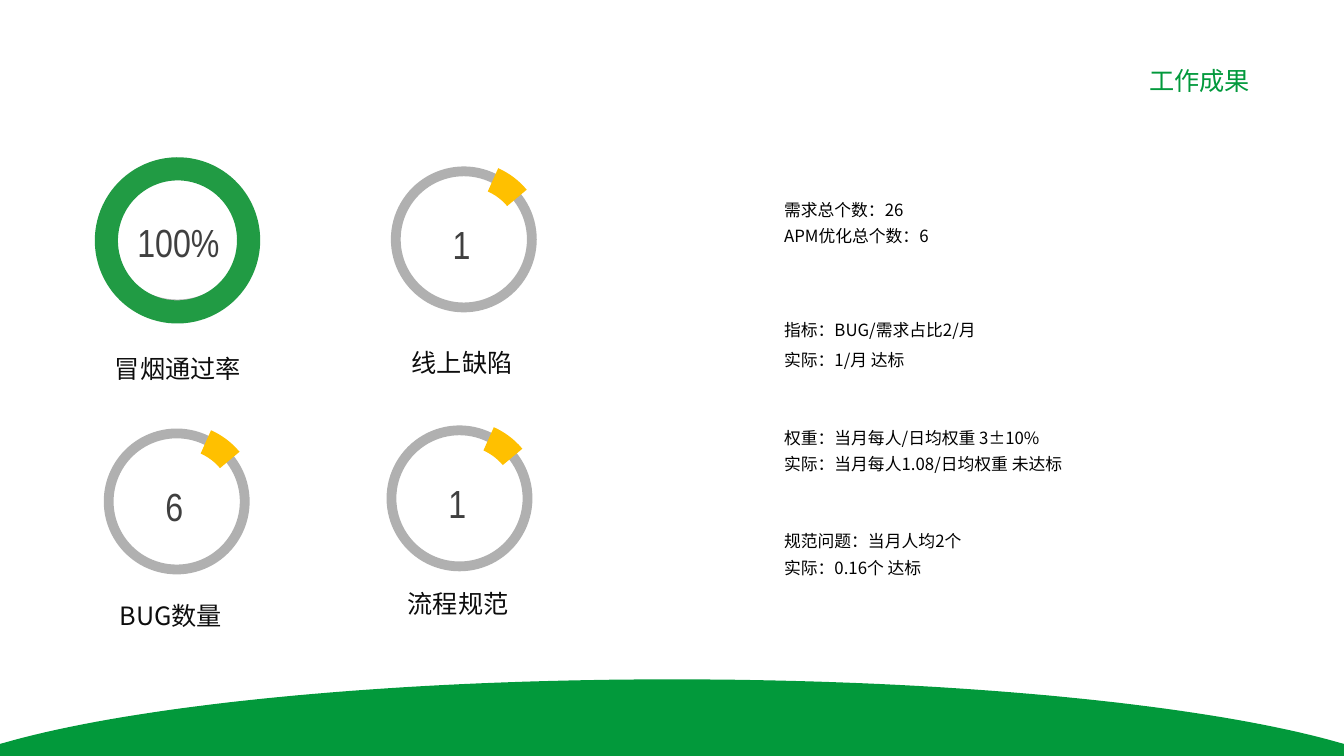
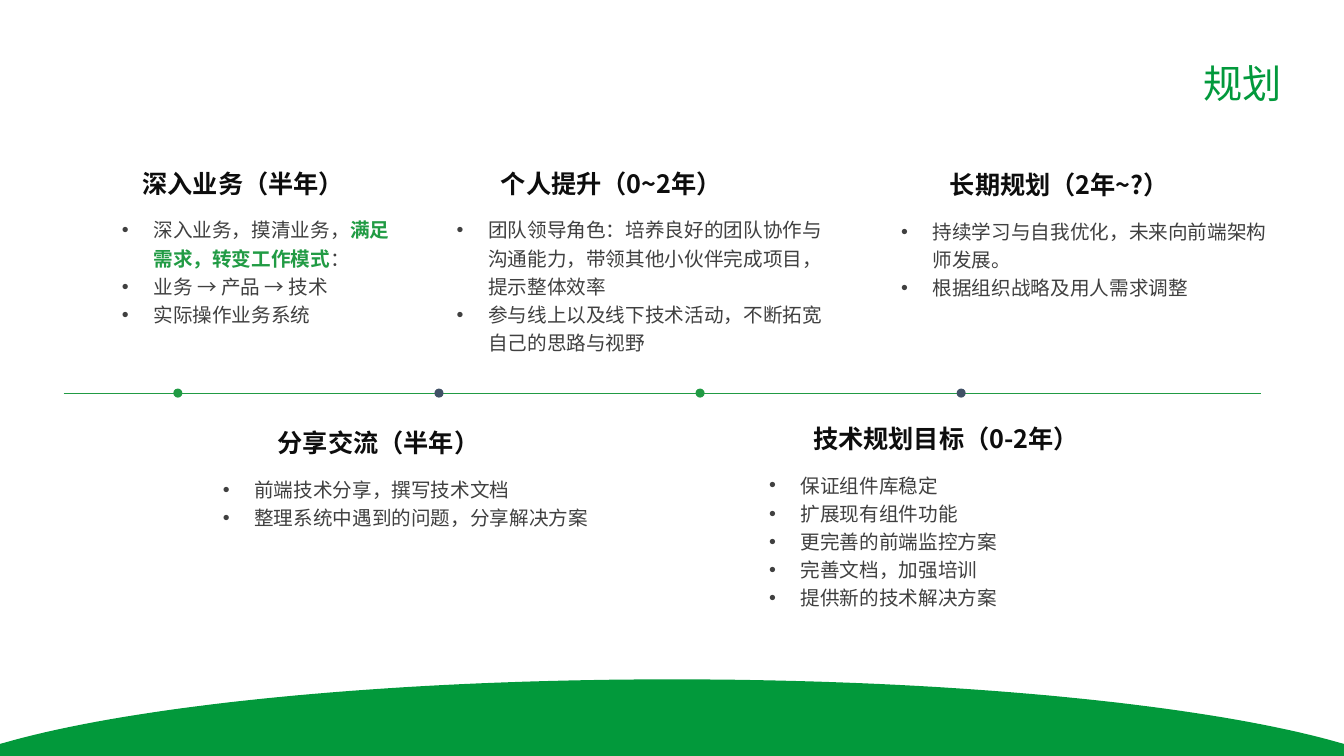
import copy
import dataclasses

import lxml.etree
import pptx
import pptx.dml.color
import pptx.enum.lang
import pptx.enum.shapes
import pptx.enum.text
import pptx.oxml.ns
import pptx.shapes.autoshape
import pptx.slide
import pptx.text.text
import pptx.util

Pt = pptx.util.Pt
Align = pptx.enum.text.PP_ALIGN
Kind = pptx.enum.shapes.MSO_SHAPE

COLORS = {
    "band": "02993B", "title": "02993C", "green": "219B44", "slate": "415166",
    "gold": "FFC000", "ring": "B0B0B0", "head": "0D0D0D", "text": "404040",
    "note": "000000",
}
WIDE, HIGH = 960, 540
SANS, SLIM = "Noto Sans CJK SC", "Arial Narrow"


@dataclasses.dataclass(frozen=True)
class Style:
    size: float
    color: str
    font: str = SANS
    bold: bool = False


@dataclasses.dataclass(frozen=True)
class Box:
    left: float
    top: float
    width: float
    height: float

    def spans(self) -> list[pptx.util.Length]:
        return [Pt(v) for v in dataclasses.astuple(self)]


@dataclasses.dataclass(frozen=True)
class Arc:
    box: Box
    turn: float
    color: str
    bends: tuple[float, float, float]


@dataclasses.dataclass(frozen=True)
class Gauge:
    value: str
    text: Box
    ring: Box
    arc: Arc
    label: str
    left: float
    top: float


@dataclasses.dataclass(frozen=True)
class Note:
    top: float
    width: float
    paras: tuple[tuple[float, tuple[str, ...]], ...]


@dataclasses.dataclass(frozen=True)
class Plan:
    head: str
    left: float
    width: float
    list_box: Box
    items: tuple[str, ...]


HEAD = Style(18, "head", bold=True)
LABEL = Style(18, "head")
VALUE = Style(28, "text", SLIM)
ITEM = Style(14, "text")
STRONG = Style(14, "green", bold=True)
NOTE = Style(12, "note")


def small(value: str, x: float, y: float, label: str, left: float, top: float) -> Gauge:
    """A thin ring at x, y with a short gold arc."""
    arc = Arc(Box(x - 7, y - 7.2, 113.8, 113.8), 72.1, "gold", (133.19, 148.73, 0.16))
    return Gauge(value, Box(x - 3.4, y + 31.2, 100.8, 41),
                 Box(x, y, 97.2, 97.2), arc, label, left, top)


GAUGES = (
    Gauge("100%", Box(89.3, 152.6, 76.3, 41), Box(76.3, 121.7, 100.8, 95.8),
          Arc(Box(67.7, 112.3, 118.1, 118.8), 194, "green", (101.53, 101.52, 0.14)),
          "冒烟通过率", 52.6, 249.1),
    small("1", 282.7, 122.4, "线上缺陷", 255.6, 244.8),
    small("6", 77.6, 309.6, "BUG数量", 47.5, 425.5),
    small("1", 279.6, 307.4, "流程规范", 252.7, 416.9),
)
NOTES = (
    Note(134.6, 165.6, ((1.3, ("需求总个数：26", "APM优化总个数：6")),)),
    Note(224.6, 165.6, ((1, ("指标：BUG/需求占比2/月",)), (1.5, ("实际：1/月 达标",)))),
    Note(297.4, 237.6,
         ((1.3, ("权重：当月每人/日均权重 3±10%", "实际：当月每人1.08/日均权重 未达标")),)),
    Note(371.5, 237.6, ((1.3, ("规范问题：当月人均2个", "实际：0.16个 达标")),)),
)
# Asterisks enclose the stressed words of an item.
PLANS = (
    Plan("深入业务（半年）", 73.4, 200.9, Box(79.9, 149, 211.7, 88.6),
         ("深入业务，摸清业务，*满足需求，转变工作模式*：",
          "业务 → 产品 → 技术", "实际操作业务系统")),
    Plan("个人提升（0~2年）", 331.2, 211, Box(319, 149, 278.6, 129.6),
         ("团队领导角色：培养良好的团队协作与沟通能力，带领其他小伙伴完成项目，提示整体效率",
          "参与线上以及线下技术活动，不断拓宽自己的思路与视野")),
    Plan("长期规划（2年~?）", 648.7, 216, Box(636.5, 149.8, 278.6, 88.6),
         ("持续学习与自我优化，未来向前端架构师发展。", "根据组织战略及用人需求调整")),
    Plan("分享交流（半年）", 164.9, 211, Box(151.9, 334.1, 278.6, 108.7),
         ("前端技术分享，撰写技术文档", "整理系统中遇到的问题，分享解决方案")),
    Plan("技术规划目标（0-2年）", 565.9, 219.6, Box(542.2, 331.2, 250.6, 129.6),
         ("保证组件库稳定", "扩展现有组件功能", "更完善的前端监控方案",
          "完善文档，加强培训", "提供新的技术解决方案")),
)


def shade(name: str) -> pptx.dml.color.RGBColor:
    return pptx.dml.color.RGBColor.from_string(COLORS[name])


def add_run(para: pptx.text.text._Paragraph, text: str, style: Style) -> None:
    run = para.add_run()
    run.text = text
    font = run.font
    font.size, font.bold, font.name = Pt(style.size), style.bold, style.font
    font.color.rgb = shade(style.color)
    font.language_id = pptx.enum.lang.MSO_LANGUAGE_ID.SIMPLIFIED_CHINESE
    latin = run._r.rPr.find(pptx.oxml.ns.qn("a:latin"))
    east = lxml.etree.Element(pptx.oxml.ns.qn("a:ea"), typeface=style.font)
    latin.addnext(east)


def set_frame(frame: pptx.text.text.TextFrame) -> None:
    frame.word_wrap = True
    frame.auto_size = pptx.enum.text.MSO_AUTO_SIZE.NONE
    frame.vertical_anchor = pptx.enum.text.MSO_ANCHOR.TOP


def next_para(frame: pptx.text.text.TextFrame, index: int) -> pptx.text.text._Paragraph:
    """The first paragraph of the frame, or a new one."""
    return frame.add_paragraph() if index else frame.paragraphs[0]


def add_line(shapes, box: Box, text: str, style: Style) -> None:
    """One centred line of text."""
    frame = shapes.add_textbox(*box.spans()).text_frame
    set_frame(frame)
    frame.paragraphs[0].alignment = Align.CENTER
    add_run(frame.paragraphs[0], text, style)


def paint(shape: pptx.shapes.autoshape.Shape, color: str) -> None:
    shape.shadow.inherit = False
    shape.fill.solid()
    shape.fill.fore_color.rgb = shade(color)
    shape.line.fill.background()


def place(shape, box: Box) -> None:
    shape.left, shape.top, shape.width, shape.height = box.spans()


def add_band(slide: pptx.slide.Slide) -> None:
    """The curved green foot of a slide."""
    knots = ((480, 485.3), (686, 485.3), (864.7, 504), (957, 530.6))
    steps = 40
    right = []
    for step in range(steps + 1):
        t = step / steps
        parts = ((1 - t) ** 3, 3 * t * (1 - t) ** 2, 3 * t * t * (1 - t), t ** 3)
        right.append(tuple(sum(p * k[axis] for p, k in zip(parts, knots))
                           for axis in (0, 1)))
    right += [(WIDE, 531.4), (WIDE, HIGH)]
    left = [(WIDE - x, y) for x, y in reversed(right)]
    edge = [(Pt(x), Pt(y)) for x, y in right + left]
    path = slide.shapes.build_freeform(*edge[0])
    path.add_line_segments(edge[1:], close=True)
    paint(path.convert_to_shape(), "band")


def add_slide(deck, layout, title: str, size: float, right: float, top: float):
    slide = deck.slides.add_slide(layout)
    add_band(slide)
    head = slide.shapes.title
    place(head, Box(right - 227.5, top, 227.5, size * 1.6))
    set_frame(head.text_frame)
    para = head.text_frame.paragraphs[0]
    para.alignment = Align.RIGHT
    add_run(para, title, Style(size, "title"))
    return slide


def add_gauge(slide: pptx.slide.Slide, gauge: Gauge) -> None:
    shapes = slide.shapes.add_group_shape().shapes
    add_line(shapes, gauge.text, gauge.value, VALUE)
    ring = shapes.add_shape(Kind.OVAL, *gauge.ring.spans())
    ring.shadow.inherit = False
    ring.fill.background()
    ring.line.color.rgb = shade("ring")
    ring.line.width = Pt(7)
    arc = shapes.add_shape(Kind.BLOCK_ARC, *gauge.arc.box.spans())
    for index, bend in enumerate(gauge.arc.bends):
        arc.adjustments[index] = bend
    arc.rotation = gauge.arc.turn
    paint(arc, gauge.arc.color)
    add_line(slide.shapes, Box(gauge.left, gauge.top, 149, 29), gauge.label, LABEL)


def add_note(slide: pptx.slide.Slide, note: Note) -> None:
    box = Box(553, note.top, note.width, 44.6)
    frame = slide.shapes.add_textbox(*box.spans()).text_frame
    set_frame(frame)
    for index, (pitch, lines) in enumerate(note.paras):
        para = next_para(frame, index)
        para.line_spacing = float(pitch)
        for row, line in enumerate(lines):
            if row:
                para.add_line_break()
            add_run(para, line, NOTE)


def add_plan(slide: pptx.slide.Slide, body, plan: Plan) -> None:
    place(body, plan.list_box)
    set_frame(body.text_frame)
    for index, item in enumerate(plan.items):
        para = next_para(body.text_frame, index)
        para.line_spacing, para.space_before = 1.2, Pt(0)
        props = para._p.get_or_add_pPr()
        props.set("marL", str(Pt(22.5)))
        props.set("indent", str(-Pt(22.5)))
        for part, text in enumerate(item.split("*")):
            add_run(para, text, STRONG if part % 2 else ITEM)
    head = Box(plan.left, plan.list_box.top - 32.4, plan.width, 29)
    add_line(slide.shapes, head, plan.head, HEAD)


def add_axis(slide: pptx.slide.Slide) -> None:
    """The time line with its four dots."""
    mid, dot = 280.8, 6.5
    axis = slide.shapes.add_connector(
        pptx.enum.shapes.MSO_CONNECTOR.STRAIGHT, Pt(45.4), Pt(mid), Pt(900.7), Pt(mid))
    axis.line.color.rgb = shade("green")
    axis.line.width = Pt(0.5)
    lxml.etree.SubElement(axis.element.spPr, pptx.oxml.ns.qn("a:effectLst"))
    for index in range(4):
        box = Box(123.8 + 186.5 * index, mid - dot / 2, dot, dot)
        paint(slide.shapes.add_shape(Kind.OVAL, *box.spans()),
              "slate" if index % 2 else "green")


def add_bodies(layout: pptx.slide.SlideLayout, total: int) -> None:
    """Give the layout as many body placeholders as there are lists."""
    body = next(p for p in layout.placeholders if p.placeholder_format.idx == 1)
    for index in range(20, 19 + total):
        twin = copy.deepcopy(body.element)
        twin.nvSpPr.cNvPr.set("id", str(index))
        twin.ph.set("idx", str(index))
        body.element.addnext(twin)


def main() -> None:
    deck = pptx.Presentation()
    deck.slide_width, deck.slide_height = Pt(WIDE), Pt(HIGH)

    result = add_slide(deck, deck.slide_layouts[5], "工作成果", 18, 900, 43.2)
    for gauge in GAUGES:
        add_gauge(result, gauge)
    for note in NOTES:
        add_note(result, note)

    layout = deck.slide_layouts[1]
    add_bodies(layout, len(PLANS))
    future = add_slide(deck, layout, "规划", 28, 923, 38.9)
    add_axis(future)
    bodies = [p for p in future.placeholders if p.placeholder_format.idx]
    for body, plan in zip(bodies, PLANS):
        add_plan(future, body, plan)

    deck.save("out.pptx")


if __name__ == "__main__":
    main()
